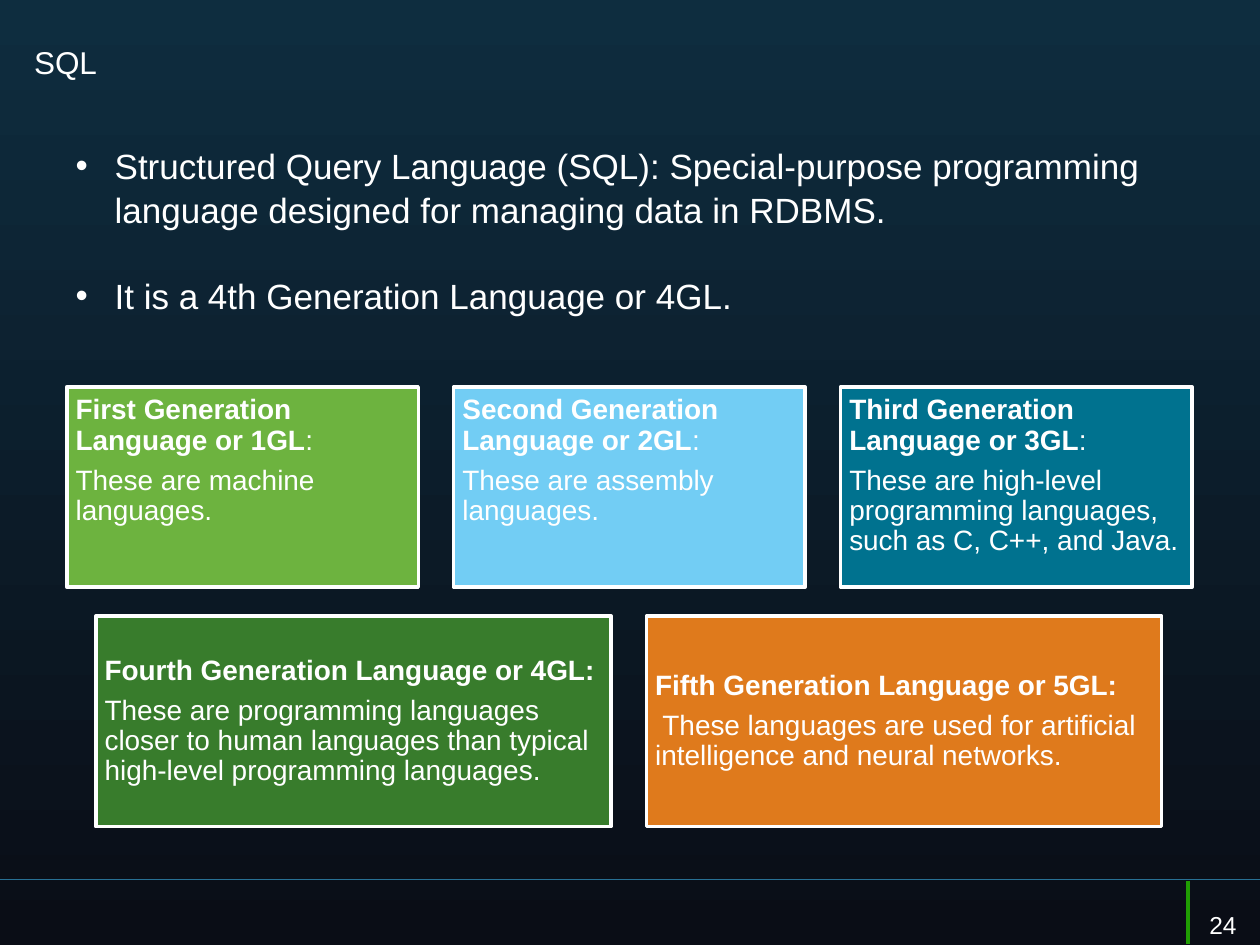
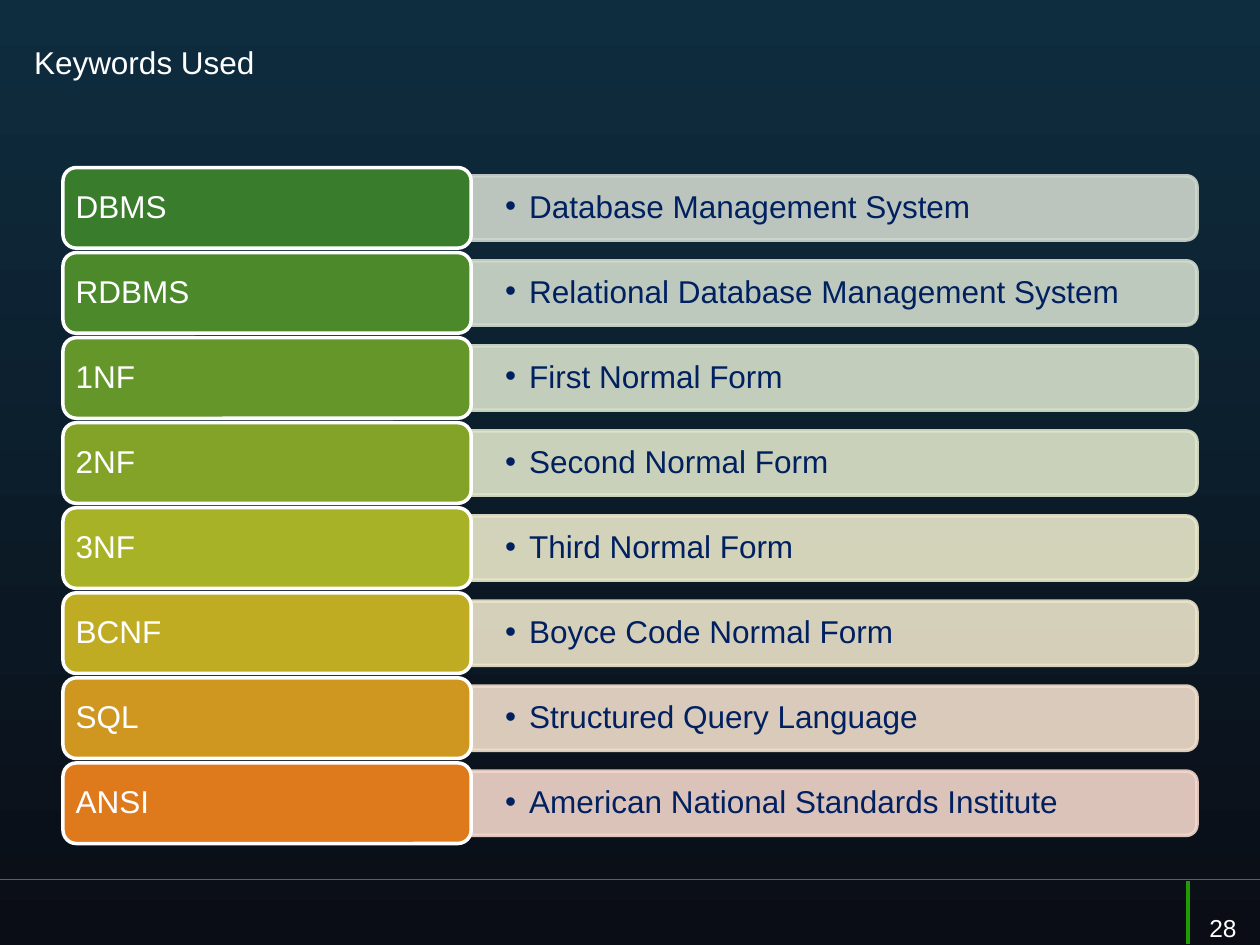
import dataclasses

import lxml.etree
import pptx
import pptx.dml.color
import pptx.enum.shapes
import pptx.enum.text
import pptx.oxml.ns
import pptx.util

Inches = pptx.util.Inches
Pt = pptx.util.Pt
RGB = pptx.dml.color.RGBColor.from_string
SHAPE = pptx.enum.shapes.MSO_SHAPE
ANCHOR = pptx.enum.text.MSO_ANCHOR
LEFT = pptx.enum.text.PP_ALIGN.LEFT
qn = pptx.oxml.ns.qn


@dataclasses.dataclass(frozen=True)
class Theme:
    font: str = "Arial"
    white: str = "FFFFFF"
    navy: str = "002060"
    background: tuple = ("0E2D3F", "0A0D16")
    footer_rule: str = "287094"
    footer_tick: str = "209D03"
    title_size: int = 18
    body_size: int = 20
    box_size: int = 16
    keyword_size: int = 18
    number_size: int = 14
    outline: int = 2


theme = Theme()


def style(paragraph, size, color=theme.white, spacing=1.0):
    """Format a paragraph and all its runs."""
    paragraph.alignment = LEFT
    paragraph.line_spacing = spacing
    paragraph.space_before = Pt(0)
    for run in paragraph.runs:
        run.font.name = theme.font
        run.font.size = Pt(size)
        run.font.color.rgb = RGB(color)


def add_bullet(paragraph, margin, hang):
    """Give a paragraph a round bullet with a hanging indent."""
    paragraph.level = 1
    properties = paragraph._p.get_or_add_pPr()
    properties.set("marL", str(Inches(margin)))
    properties.set("indent", str(-Inches(hang)))
    lxml.etree.SubElement(properties, qn("a:buFont")).set("typeface", theme.font)
    lxml.etree.SubElement(properties, qn("a:buChar")).set("char", "•")


prs = pptx.Presentation()
prs.slide_width, prs.slide_height = Inches(10), Inches(7.5)

# Shared background
backdrop = prs.slide_master.background.fill
backdrop.gradient()
backdrop.gradient_angle = 270
for stop, color in zip(backdrop.gradient_stops, theme.background):
    stop.color.rgb = RGB(color)

# Shared frame: title, footer lines, slide number
footer_lines = [
    (10, 6.98, 0, 6.98, theme.footer_rule, 0.75),
    (9.43, 6.99, 9.43, 7.49, theme.footer_tick, 2),
]
slides = []
for heading, layout, number, number_top in [("SQL", 1, "24", 7.17), ("Keywords Used", 5, "28", 7.2)]:
    slide = prs.slides.add_slide(prs.slide_layouts[layout])
    slides.append(slide)

    for x1, y1, x2, y2, color, width in footer_lines:
        rule = slide.shapes.add_connector(
            pptx.enum.shapes.MSO_CONNECTOR.STRAIGHT, Inches(x1), Inches(y1), Inches(x2), Inches(y2))
        rule.line.color.rgb = RGB(color)
        rule.line.width = Pt(width)
        lxml.etree.SubElement(rule._element.spPr, qn("a:effectLst"))

    title = slide.shapes.title
    title.left, title.top, title.width, title.height = map(Inches, (0.17, 0.2, 7.5, 0.58))
    title.text_frame.text = heading
    title.text_frame.vertical_anchor = ANCHOR.MIDDLE
    style(title.text_frame.paragraphs[0], theme.title_size)

    page = slide.shapes.add_textbox(Inches(9.5), Inches(number_top), Inches(0.5), Inches(0.3))
    page.text_frame.word_wrap = True
    page.text_frame.text = number
    style(page.text_frame.paragraphs[0], theme.number_size)

sql_slide, keywords_slide = slides

# SQL: definition list
definition = sql_slide.placeholders[1]
definition.left, definition.top, definition.width, definition.height = map(Inches, (0, 1.08, 9.67, 1.83))
definition.text_frame.text = (
    "Structured Query Language (SQL): Special-purpose programming language "
    "designed for managing data in RDBMS.\n"
    "It is a 4th Generation Language or 4GL.")
definition.text_frame.auto_size = pptx.enum.text.MSO_AUTO_SIZE.NONE
for point in definition.text_frame.paragraphs:
    style(point, theme.body_size, spacing=1.05)
    add_bullet(point, 0.81, 0.31)
definition.text_frame.paragraphs[1].space_before = Pt(24)

# SQL: language generations, three boxes above two
generation_rows = [
    ((0.53, 3.07, 2.79, 1.59), ANCHOR.TOP, [
        ("First Generation Language or 1GL", ":", "These are machine languages.", "6DB33F"),
        ("Second Generation Language or 2GL", ":", "These are assembly languages.", "72CDF4"),
        ("Third Generation Language or 3GL", ":",
         "These are high-level programming languages, such as C, C++, and Java.", "00728F"),
    ]),
    ((0.76, 4.89, 4.09, 1.67), ANCHOR.MIDDLE, [
        ("Fourth Generation Language or 4GL:", "",
         "These are programming languages closer to human languages than typical "
         "high-level programming languages.", "387C2C"),
        ("Fifth Generation Language or 5GL:", "",
         " These languages are used for artificial intelligence and neural networks.", "DF7A1C"),
    ]),
]
generation_gap = 0.28
for (left, top, width, height), anchor, generations in generation_rows:
    for column, (name, colon, meaning, color) in enumerate(generations):
        box = sql_slide.shapes.add_shape(
            SHAPE.RECTANGLE, Inches(left + column * (width + generation_gap)), Inches(top),
            Inches(width), Inches(height))
        box.shadow.inherit = False
        box.fill.solid()
        box.fill.fore_color.rgb = RGB(color)
        box.line.color.rgb = RGB(theme.white)
        box.line.width = Pt(theme.outline)

        frame = box.text_frame
        frame.margin_left = frame.margin_right = frame.margin_top = frame.margin_bottom = Inches(0.07)
        frame.vertical_anchor = anchor
        frame.text = f"{name}\n{meaning}"
        name_line = frame.paragraphs[0]
        name_line.runs[0].font.bold = True
        name_line.space_after = Pt(5.6)
        if colon:
            name_line.add_run().text = colon
        for paragraph in frame.paragraphs:
            style(paragraph, theme.box_size, spacing=0.9)

# Keywords: label on the left, meaning in a pale bar on the right
keywords = [
    ("DBMS", "Database Management System", "387C2C", "CED7CD"),
    ("RDBMS", "Relational Database Management System", "4B892B", "D1DCCC"),
    ("1NF", "First Normal Form", "64962A", "D7E0CC"),
    ("2NF", "Second Normal Form", "83A328", "DFE5CB"),
    ("3NF", "Third Normal Form", "A8B226", "E9E8CB"),
    ("BCNF", "Boyce Code Normal Form", "C0AC23", "ECE4CB"),
    ("SQL", "Structured Query Language", "CF9720", "F0DECC"),
    ("ANSI", "American National Standards Institute", "DF7A1C", "F3D7CC"),
]
first_top, row_step = 1.33, 0.675
label_left, label_width, label_height = 0.5, 3.24, 0.64
bar_left, bar_length, bar_height = label_left + label_width, 5.76, 0.51
for row, (keyword, meaning, label_color, bar_color) in enumerate(keywords):
    top = first_top + row * row_step
    middle = top + label_height / 2

    # The bar is an upright shape turned a quarter, rounded at its right end
    bar = keywords_slide.shapes.add_shape(
        SHAPE.ROUND_2_SAME_RECTANGLE,
        Inches(bar_left + (bar_length - bar_height) / 2), Inches(middle - bar_length / 2),
        Inches(bar_height), Inches(bar_length))
    bar.rotation = 90
    label = keywords_slide.shapes.add_shape(
        SHAPE.ROUNDED_RECTANGLE, Inches(label_left), Inches(top), Inches(label_width), Inches(label_height))
    for part, fill, line in [(bar, bar_color, bar_color), (label, label_color, theme.white)]:
        part.shadow.inherit = False
        part.fill.solid()
        part.fill.fore_color.rgb = RGB(fill)
        part.line.color.rgb = RGB(line)
        part.line.width = Pt(theme.outline)
    for color in bar._element.spPr.iter(qn("a:srgbClr")):
        lxml.etree.SubElement(color, qn("a:alpha")).set("val", "90000")

    label.text_frame.text = keyword
    label.text_frame.margin_left = Inches(0.07)
    label.text_frame.vertical_anchor = ANCHOR.MIDDLE
    style(label.text_frame.paragraphs[0], theme.keyword_size, spacing=0.9)

    expansion = keywords_slide.shapes.add_textbox(
        Inches(bar_left), Inches(middle - 0.23), Inches(5.73), Inches(0.46))
    expansion.text_frame.word_wrap = True
    expansion.text_frame.margin_left = expansion.text_frame.margin_right = Inches(0.27)
    expansion.text_frame.vertical_anchor = ANCHOR.MIDDLE
    expansion.text_frame.text = meaning
    style(expansion.text_frame.paragraphs[0], theme.keyword_size, theme.navy, 0.9)
    add_bullet(expansion.text_frame.paragraphs[0], 0.19, 0.19)

prs.save("out.pptx")
